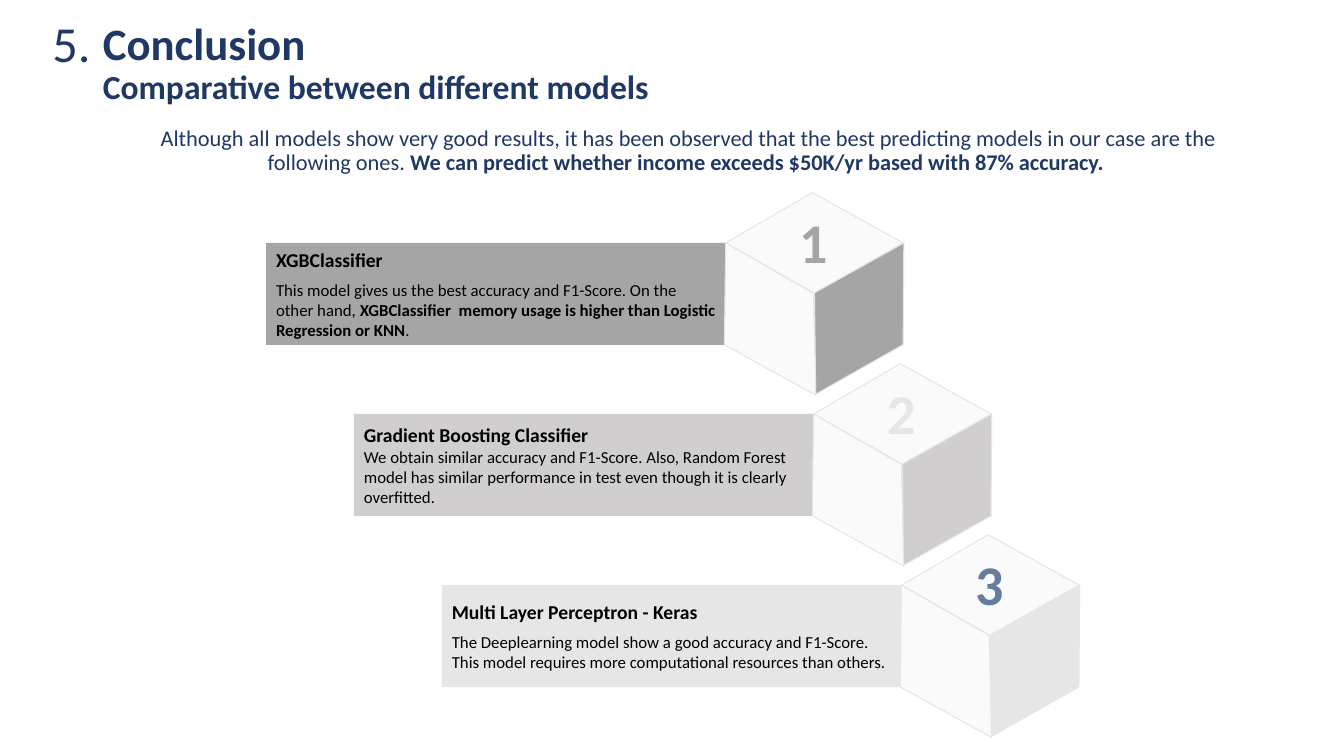
"""Build the conclusion slide: three ranked models on a staircase of cubes."""
import lxml.etree
import pptx
import pptx.dml.color
import pptx.enum.shapes
import pptx.enum.text
import pptx.oxml.ns
import pptx.util

RGB = pptx.dml.color.RGBColor
NAVY = RGB(0x20, 0x38, 0x64)
BLACK = RGB(0, 0, 0)
DARK_GREY = RGB(0xA5, 0xA5, 0xA5)
MID_GREY = RGB(0xD0, 0xCE, 0xCE)
LIGHT_GREY = RGB(0xE7, 0xE6, 0xE6)
CUBE_WHITE = RGB(0xFA, 0xFA, 0xFA)
STEEL_BLUE = RGB(0x65, 0x7D, 0x9D)

WIDTH = pptx.util.Inches(13.33)
HEIGHT = pptx.util.Inches(7.5)
LEFT = pptx.enum.text.PP_ALIGN.LEFT
CENTER = pptx.enum.text.PP_ALIGN.CENTER
TOP = pptx.enum.text.MSO_ANCHOR.TOP
MIDDLE = pptx.enum.text.MSO_ANCHOR.MIDDLE

STEP = (6.54, 22.63)
FIRST_CUBE = (54, 25.47)
FIRST_BAR = (19.8, 32.13)
BAR_SIZE = (34.36, 13.5)
FIRST_NUMBER = (57.69, 26.93)
NUMBER_SIZE = (5.7, 9.6)

TOP_FACE = [(0, 6.67), (6.45, 0), (13.2, 6.67), (6.6, 13.33)]
RIGHT_FACE = [(6.6, 13.27), (6.7, 26.67), (13.2, 20.13), (13.25, 6.67)]
LEFT_FACE = [(-0.1, 20.13), (0, 6.67), (6.53, 13.33), (6.7, 26.8)]

MODELS = [
    (DARK_GREY, DARK_GREY, [
        [("XGBClassifier", 14, True)],
        [("This model gives us the best accuracy and F1-Score. On the other hand, ", 12, False),
         ("XGBClassifier  memory usage is higher than Logistic Regression or KNN", 12, True),
         (".", 12, False)]]),
    (MID_GREY, LIGHT_GREY, [
        [("Gradient Boosting Classifier\n", 14, True),
         ("We obtain similar accuracy and F1-Score. Also, Random Forest model has similar "
          "performance in test even though it is clearly overfitted.", 12, False)]]),
    (LIGHT_GREY, STEEL_BLUE, [
        [("Multi Layer Perceptron - Keras", 14, True)],
        [("The Deeplearning model show a good accuracy and F1-Score. This model requires "
          "more computational resources than others.", 12, False)]]),
]


def across(share):
    """Turn a percentage of the slide width into a length."""
    return round(WIDTH * share / 100)


def down(share):
    """Turn a percentage of the slide height into a length."""
    return round(HEIGHT * share / 100)


def box(place, size):
    """Return left, top, width and height for shares of the slide."""
    return across(place[0]), down(place[1]), across(size[0]), down(size[1])


def on_step(first, step):
    """Move a place down the staircase by a number of steps."""
    return first[0] + STEP[0] * step, first[1] + STEP[1] * step


def apply(target, formats):
    """Set each named format value on the target."""
    for name, value in formats.items():
        setattr(target, name, value)


def add_break(paragraph, size):
    """Add a line break that is as tall as the text before it."""
    paragraph.add_line_break()
    line_break = paragraph._p.findall(pptx.oxml.ns.qn("a:br"))[-1]
    properties = lxml.etree.SubElement(line_break, pptx.oxml.ns.qn("a:rPr"))
    properties.set("sz", str(size * 100))


def write(frame, paragraphs, color, anchor=MIDDLE, insets=(0.1, 0.05), **layout):
    """Fill a text frame with paragraphs of (text, size, bold) runs."""
    side, edge = (pptx.util.Inches(inset) for inset in insets)
    apply(frame, {"word_wrap": True, "vertical_anchor": anchor,
                  "auto_size": pptx.enum.text.MSO_AUTO_SIZE.NONE,
                  "margin_left": side, "margin_right": side,
                  "margin_top": edge, "margin_bottom": edge})
    for index, runs in enumerate(paragraphs):
        paragraph = frame.paragraphs[0] if index == 0 else frame.add_paragraph()
        apply(paragraph, {"alignment": LEFT, "space_before": pptx.util.Pt(0), **layout})
        for text, size, bold in runs:
            run = paragraph.add_run()
            run.text = text.rstrip("\n")
            apply(run.font, {"name": "Calibri", "size": pptx.util.Pt(size), "bold": bold})
            run.font.color.rgb = color
            if text.endswith("\n"):
                add_break(paragraph, size)


def move(placeholder, place, size):
    """Move and resize a placeholder."""
    apply(placeholder, dict(zip(("left", "top", "width", "height"), box(place, size))))


def remove_bullet(paragraph):
    """Take the bullet and its indent off a paragraph."""
    properties = paragraph._p.get_or_add_pPr()
    properties.set("marL", "0")
    properties.set("indent", "0")
    lxml.etree.SubElement(properties, pptx.oxml.ns.qn("a:buNone"))


def add_heading(slide):
    """Write the section number, the title and the introduction."""
    title, introduction = slide.placeholders
    move(title, (6.9, -1.2), (86.27, 19.33))
    write(title.text_frame, [[("Conclusion\n", 32, True),
                              ("Comparative between different models", 24, True)]],
          NAVY, line_spacing=0.9)
    move(introduction, (8.1, 14.53), (86.27, 10.93))
    write(introduction.text_frame, [[
        ("Although all models show very good results, it has been observed that the best "
         "predicting models in our case are the following ones. ", 16, False),
        ("We can predict whether income exceeds $50K/yr based with 87% accuracy. ", 16, True)]],
        NAVY, alignment=CENTER, line_spacing=0.9)
    remove_bullet(introduction.text_frame.paragraphs[0])
    section = slide.shapes.add_textbox(*box((3.15, 0.93), (5.33, 9.47)))
    write(section.text_frame, [[("5.", 36, False)]], NAVY, anchor=TOP)


def add_bar(slide, step, color, paragraphs):
    """Add the bar that describes the model on a step."""
    bar = slide.shapes.add_shape(pptx.enum.shapes.MSO_SHAPE.RECTANGLE,
                                 *box(on_step(FIRST_BAR, step), BAR_SIZE))
    bar.shadow.inherit = False
    bar.fill.solid()
    bar.fill.fore_color.rgb = color
    bar.line.fill.background()
    write(bar.text_frame, paragraphs, BLACK, insets=(0.1, 0.1),
          space_after=pptx.util.Pt(6))


def add_face(slide, step, corners, color):
    """Add one face of the cube on a step."""
    x, y = on_step(FIRST_CUBE, step)
    points = [(across(x + dx), down(y + dy)) for dx, dy in corners]
    builder = slide.shapes.build_freeform(*points[0])
    builder.add_line_segments(points[1:], close=True)
    face = builder.convert_to_shape()
    face.shadow.inherit = False
    face.fill.solid()
    face.fill.fore_color.rgb = color
    face.line.color.rgb = LIGHT_GREY
    face.line.width = pptx.util.Pt(0.75)


def add_cube(slide, step, side_color, number_color):
    """Add the numbered cube on a step."""
    for corners, color in ((TOP_FACE, CUBE_WHITE), (RIGHT_FACE, side_color),
                           (LEFT_FACE, CUBE_WHITE)):
        add_face(slide, step, corners, color)
    number = slide.shapes.add_textbox(*box(on_step(FIRST_NUMBER, step), NUMBER_SIZE))
    write(number.text_frame, [[(str(step + 1), 40, True)]], number_color,
          anchor=TOP, insets=(0.04, 0.04), alignment=CENTER)


def main():
    """Build and save the slide."""
    deck = pptx.Presentation()
    apply(deck, {"slide_width": WIDTH, "slide_height": HEIGHT})
    slide = deck.slides.add_slide(deck.slide_layouts[1])
    add_heading(slide)
    for step, (color, number_color, paragraphs) in enumerate(MODELS):
        add_bar(slide, step, color, paragraphs)
        add_cube(slide, step, color, number_color)
    deck.save("out.pptx")


if __name__ == "__main__":
    main()
